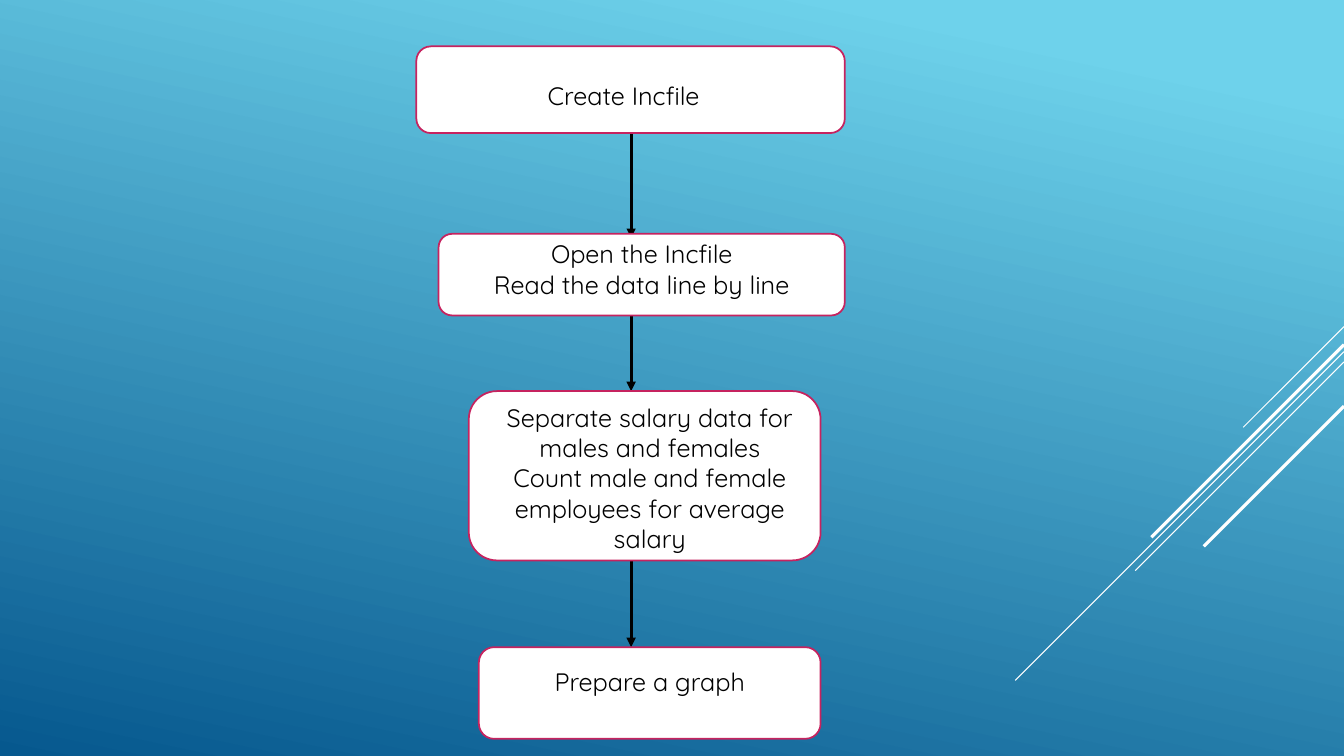
from dataclasses import dataclass
from itertools import pairwise

from lxml import etree
from pptx import Presentation
from pptx.dml.color import RGBColor
from pptx.enum.shapes import MSO_CONNECTOR as Connector, MSO_SHAPE as Preset
from pptx.enum.text import MSO_AUTO_SIZE as AutoSize, PP_ALIGN as Align
from pptx.oxml.ns import qn
from pptx.util import Inches, Pt

WIDTH, HEIGHT = Inches(13.33), Inches(7.5)
FONT = "Quicksand"
WHITE, BLACK, PINK = "FFFFFF", "000000", "C6235F"
SKY, NAVY = "6ED2EB", "06588E"
ARROW_X = 46.96


@dataclass(frozen=True)
class Area:
    left: float
    top: float
    width: float
    height: float

    @property
    def bottom(self) -> float:
        return self.top + self.height

    def lengths(self) -> tuple[int, int, int, int]:
        return (across(self.left), down(self.top),
                across(self.width), down(self.height))


@dataclass(frozen=True)
class Step:
    box: Area
    label: Area
    lines: tuple[str, ...]
    tuck: float = 0


@dataclass(frozen=True)
class Streak:
    top: float
    reach: float
    weight: float


STEPS = (
    Step(Area(30.98, 6.13, 31.88, 11.47), Area(31.66, 10, 29.48, 5.33),
         ("Create Incfile",)),
    Step(Area(32.63, 30.93, 30.23, 10.8), Area(33.08, 30.93, 29.33, 13.47),
         ("Open the Incfile", "Read the data line by line"), tuck=0.54),
    Step(Area(34.88, 51.73, 26.18, 22.4), Area(35.63, 52.53, 25.43, 21.6),
         ("Separate salary data for males and females",
          "Count male and female employees for average salary")),
    Step(Area(35.63, 85.6, 25.43, 12.13), Area(35.63, 87.47, 25.43, 5.33),
         ("Prepare a graph",)),
)
STREAKS = (
    Streak(43.2, 7.5, 0.75),
    Streak(46.53, 24.46, 0.75),
    Streak(47.87, 15.53, 0.75),
    Streak(45.6, 14.33, 2.25),
    Streak(53.73, 10.43, 2.25),
)


def across(share: float) -> int:
    return round(WIDTH * share / 100)


def down(share: float) -> int:
    return round(HEIGHT * share / 100)


def color(code: str) -> RGBColor:
    return RGBColor.from_string(code)


def paint_background(slide) -> None:
    fill = slide.background.fill
    fill.gradient()
    fill.gradient_angle = 360 - 102
    for stop, code, position in zip(fill.gradient_stops, (SKY, NAVY), (0.1, 1)):
        stop.color.rgb = color(code)
        stop.position = position


def draw_line(slide, start: tuple[int, int], end: tuple[int, int],
              code: str, weight: float, arrow: bool = False) -> None:
    connector = slide.shapes.add_connector(Connector.STRAIGHT, *start, *end)
    connector.line.color.rgb = color(code)
    connector.line.width = Pt(weight)
    if arrow:
        outline = connector.line._get_or_add_ln()
        etree.SubElement(outline, qn("a:tailEnd"), type="triangle")
    etree.SubElement(connector._element.spPr, qn("a:effectLst"))


def draw_streak(slide, streak: Streak) -> None:
    start_y, reach = down(streak.top), across(streak.reach)
    draw_line(slide, (WIDTH, start_y), (WIDTH - reach, start_y + reach),
              WHITE, streak.weight)


def draw_arrow(slide, source: Step, target: Step) -> None:
    x = across(ARROW_X)
    draw_line(slide, (x, down(source.box.bottom)),
              (x, down(target.box.top + target.tuck)), BLACK, 2.25, arrow=True)


def draw_step(slide, step: Step) -> None:
    box = slide.shapes.add_shape(Preset.ROUNDED_RECTANGLE, *step.box.lengths())
    box.shadow.inherit = False
    box.fill.solid()
    box.fill.fore_color.rgb = color(WHITE)
    box.line.color.rgb = color(PINK)
    box.line.width = Pt(1.25)

    frame = slide.shapes.add_textbox(*step.label.lengths()).text_frame
    frame.word_wrap = True
    frame.auto_size = AutoSize.SHAPE_TO_FIT_TEXT
    frame.text = "\n".join(step.lines)
    for paragraph in frame.paragraphs:
        paragraph.alignment = Align.CENTER
        paragraph.font.name = FONT
        paragraph.font.size = Pt(18)
        paragraph.font.color.rgb = color(BLACK)


def main() -> None:
    presentation = Presentation()
    presentation.slide_width, presentation.slide_height = WIDTH, HEIGHT
    slide = presentation.slides.add_slide(presentation.slide_layouts[6])
    paint_background(slide)
    for streak in STREAKS:
        draw_streak(slide, streak)
    for source, target in pairwise(STEPS):
        draw_arrow(slide, source, target)
    for step in STEPS:
        draw_step(slide, step)
    presentation.save("out.pptx")


main()
